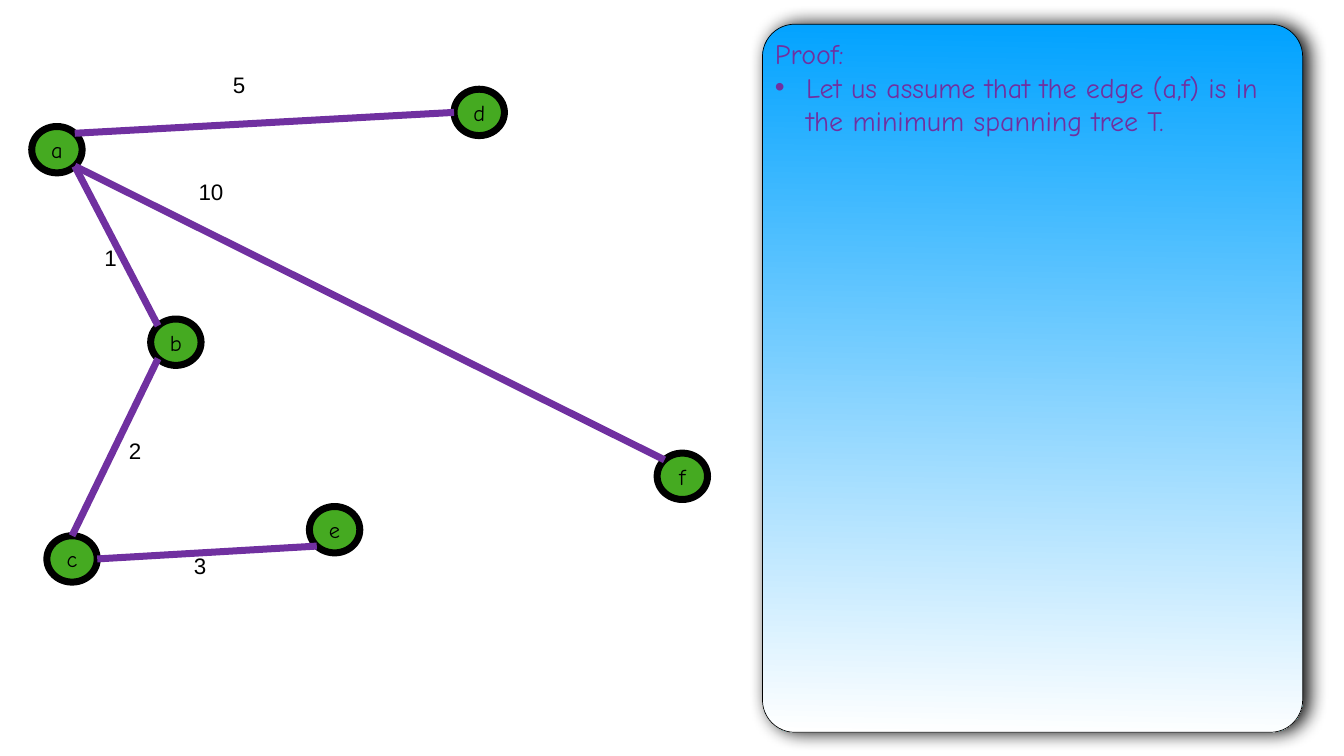
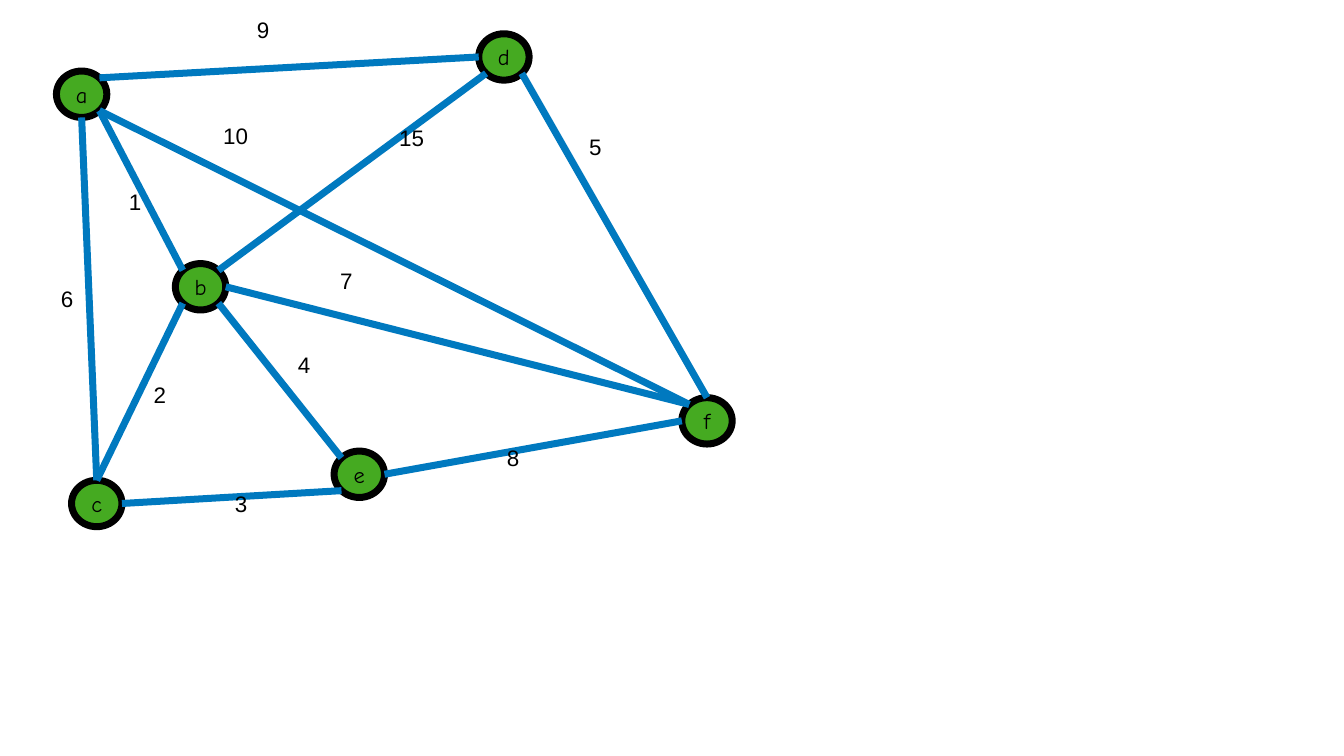
import math
from lxml import etree
from pptx import Presentation
from pptx import util as u
from pptx.dml.color import RGBColor
from pptx.enum import shapes, text
from pptx.oxml import ns

PX = 9144  # 100 px to the inch
BLACK = RGBColor(0, 0, 0)
WHITE = RGBColor(255, 255, 255)
GREEN = RGBColor(0x45, 0xAA, 0x21)
PURPLE = RGBColor(0x70, 0x30, 0xA0)
BLUE = RGBColor(0x00, 0x79, 0xBF)
SKY = RGBColor(0x00, 0xA2, 0xFF)
HAND, SANS = "Comic Neue", "Arial"

# Graph nodes, shared by both slides
WIDE, HIGH = 100, 92
NODES = {"a": (63, 251), "d": (901, 177), "b": (299, 633),
         "c": (93, 1063), "e": (614, 1005), "f": (1304, 899)}
SITES = ["N", "NE", "E", "SE", "S", "SW", "W", "NW"]

# Per slide: shift of the graph, edge colour,
# edges (start, site, end, site, weight, label left, label top)
GRAPHS = [
    (0, 0, PURPLE, [
        ("f", "NW", "a", "SE", 10, 388, 321),
        ("c", "N", "b", "SW", 2, 250, 835),
        ("b", "NW", "a", "SE", 1, 201, 452),
        ("d", "W", "a", "NE", 5, 456, 110),
        ("c", "E", "e", "SW", 3, 379, 1065),
    ]),
    (49, -110, BLUE, [
        ("d", "SE", "f", "N", 5, 1163, 232),
        ("f", "NW", "a", "SE", 10, 437, 210),
        ("d", "SW", "b", "NE", 15, 786, 215),
        ("c", "N", "b", "SW", 2, 299, 724),
        ("e", "NW", "b", "SE", 4, 585, 666),
        ("f", "W", "e", "E", 8, 1000, 850),
        ("b", "NW", "a", "SE", 1, 250, 341),
        ("d", "W", "a", "NE", 9, 504, 0),
        ("c", "N", "a", "S", 6, 115, 535),
        ("c", "E", "e", "SW", 3, 460, 941),
        ("f", "NW", "b", "E", 7, 669, 499),
    ]),
]


def write(shape, lines, font, size, color, align, anchor):
    frame = shape.text_frame
    frame.text = "\n".join(lines)
    frame.word_wrap = True
    frame.vertical_anchor = anchor
    frame.margin_left = frame.margin_right = 6 * PX
    frame.margin_top = frame.margin_bottom = 6 * PX
    for para in frame.paragraphs:
        para.alignment = align
        for run in para.runs:
            run.font.name = font
            run.font.size = u.Pt(size)
            run.font.color.rgb = color
    return frame


def locate(node, site, dx, dy):
    x, y = NODES[node]
    turn = math.radians(45 * SITES.index(site))
    return (round((x + dx + WIDE / 2 * (1 + math.sin(turn))) * PX),
            round((y + dy + HIGH / 2 * (1 - math.cos(turn))) * PX))


deck = Presentation()
deck.slide_width, deck.slide_height = 2667 * PX, 1500 * PX
LEFT, MID = text.PP_ALIGN.LEFT, text.MSO_ANCHOR.MIDDLE

for dx, dy, color, edges in GRAPHS:
    slide = deck.slides.add_slide(deck.slide_layouts[6])

    # Nodes
    for name, (x, y) in NODES.items():
        node = slide.shapes.add_shape(shapes.MSO_SHAPE.OVAL, (x + dx) * PX,
                                      (y + dy) * PX, WIDE * PX, HIGH * PX)
        node.shadow.inherit = False
        node.fill.solid()
        node.fill.fore_color.rgb = GREEN
        node.line.color.rgb = BLACK
        node.line.width = u.Pt(10)
        write(node, [name], HAND, 32, BLACK, text.PP_ALIGN.CENTER, MID)

    # Edges
    for start, out, end, into, *_ in edges:
        edge = slide.shapes.add_connector(
            shapes.MSO_CONNECTOR.STRAIGHT,
            *locate(start, out, dx, dy), *locate(end, into, dx, dy))
        edge.line.color.rgb = color
        edge.line.width = u.Pt(10)
        etree.SubElement(edge.element.spPr, ns.qn("a:effectLst"))

    # Weights
    for *_, weight, x, y in edges:
        width = 70 if weight > 9 else 54
        label = slide.shapes.add_textbox(x * PX, y * PX, width * PX, 123 * PX)
        frame = write(label, [str(weight)], SANS, 32, BLACK, LEFT, MID)
        frame.auto_size = text.MSO_AUTO_SIZE.SHAPE_TO_FIT_TEXT
        frame.paragraphs[0].line_spacing = 0.9
        frame.paragraphs[0].space_before = u.Pt(45)

# Proof panel on the first slide
panel = deck.slides[0].shapes.add_shape(
    shapes.MSO_SHAPE.ROUNDED_RECTANGLE, 1513 * PX, 48 * PX, 1072 * PX, 1405 * PX)
panel.adjustments[0] = 0.06
panel.fill.gradient()
panel.fill.gradient_angle = 269
for stop, tint in zip(panel.fill.gradient_stops, (SKY, WHITE)):
    stop.color.rgb = tint
panel.line.color.rgb = BLACK
panel.line.width = u.Pt(1)
frame = write(panel, ["Proof:", "Let us assume that the edge (a,f) is in "
                      "the minimum spanning tree T."],
              HAND, 40, PURPLE, LEFT, text.MSO_ANCHOR.TOP)

# Panel shadow
panel.shadow.inherit = False
effects = panel.element.spPr.find(ns.qn("a:effectLst"))
shade = etree.SubElement(effects, ns.qn("a:outerShdw"), blurRad=str(u.Pt(28)),
                         dist=str(u.Pt(9)), dir="0", rotWithShape="0")
black = etree.SubElement(shade, ns.qn("a:srgbClr"), val="000000")
etree.SubElement(black, ns.qn("a:alpha"), val="97000")

# Bullet with hanging indent
props = frame.paragraphs[1]._p.get_or_add_pPr()
props.set("marL", str(62 * PX))
props.set("indent", str(-62 * PX))
etree.SubElement(props, ns.qn("a:buFont"), typeface=SANS)
etree.SubElement(props, ns.qn("a:buChar"), char="•")

deck.save("out.pptx")
